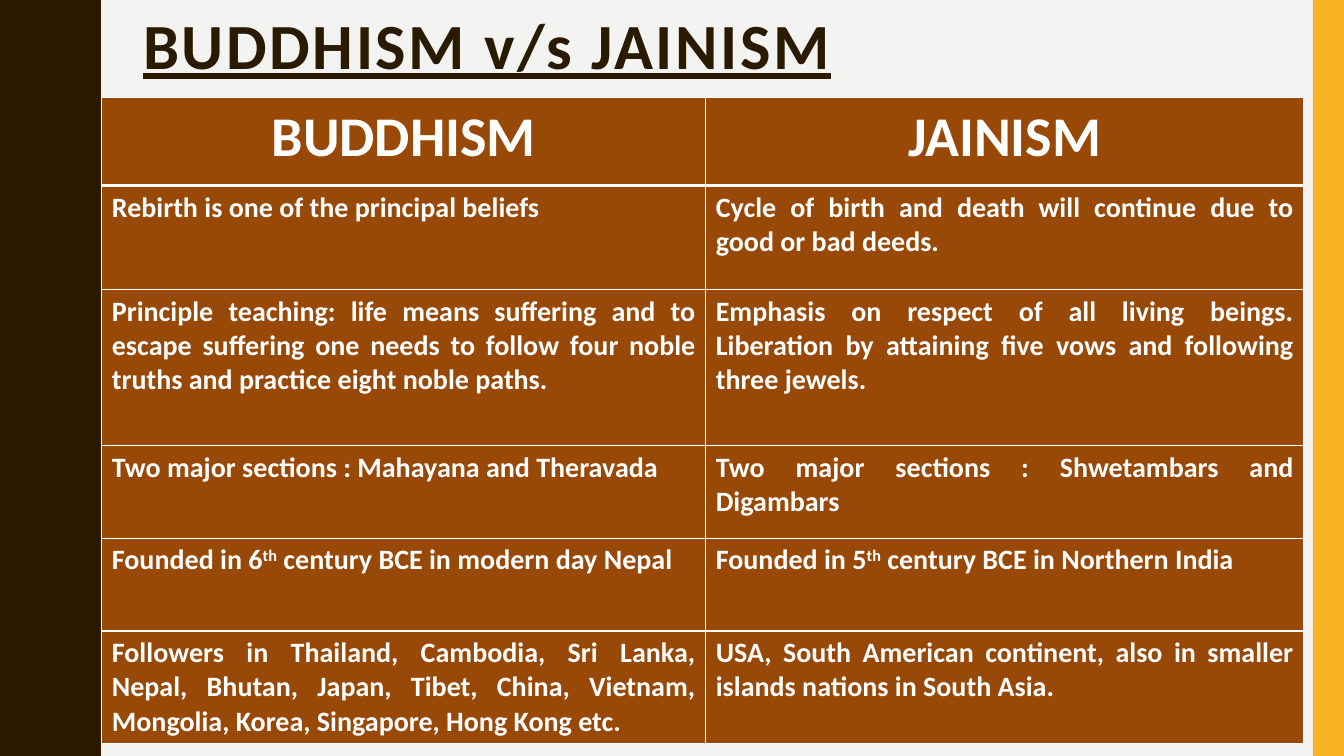
from lxml.etree import SubElement
from pptx import Presentation
from pptx.dml.color import RGBColor
from pptx.enum.shapes import MSO_SHAPE
from pptx.enum.text import MSO_ANCHOR, MSO_AUTO_SIZE, PP_ALIGN
from pptx.oxml.ns import qn
from pptx.util import Inches, Pt

COLORS = {"paper": "F3F3F1", "dark": "2A1A00", "gold": "F8B322",
          "rust": "984807", "white": "FFFFFF"}
WIDTH, HEIGHT = 13.33, 7.5
WAVE_PERIOD = 1.5
# Half a wave as (x, y), from its trough to its crest
HALF_WAVE = [(0.78, 0), (0.78, 0.07), (0.79, 0.14), (0.8, 0.2), (0.82, 0.25),
             (0.83, 0.29), (0.85, 0.33), (0.9, 0.42), (0.91, 0.46), (0.93, 0.5),
             (0.95, 0.55), (0.96, 0.61), (0.97, 0.68), (0.97, 0.75)]

COLUMN_WIDTHS = [5.99, 5.93]
ROW_HEIGHTS = [0.87, 1.03, 1.55, 0.92, 0.92, 1.09]
# Each cell is a list of runs; "th" is raised
COMPARISON = [
    (["BUDDHISM"], ["JAINISM"]),
    (["Rebirth is one of the principal beliefs"],
     ["Cycle of birth and death will continue due to good or bad deeds."]),
    (["Principle teaching: life means suffering and to escape suffering one "
      "needs to follow four noble truths and practice eight noble paths."],
     ["Emphasis on respect of all living beings. Liberation by attaining five "
      "vows and following three jewels."]),
    (["Two major sections : Mahayana and Theravada"],
     ["Two major sections : Shwetambars and Digambars"]),
    (["Founded in 6", "th", " century BCE in modern day Nepal"],
     ["Founded in 5", "th", " century BCE in Northern India"]),
    (["Followers in Thailand, Cambodia, Sri Lanka, Nepal, Bhutan, Japan, Tibet, "
      "China, Vietnam, Mongolia, Korea, Singapore, Hong Kong etc."],
     ["USA, South American continent, also in smaller islands nations in "
      "South Asia."]),
]


class SlideBuilder:
    font = "Calibri"

    def __init__(self, slide):
        self.slide = slide

    def color(self, name):
        return RGBColor.from_string(COLORS[name])

    def paint(self, fill, name):
        fill.solid()
        fill.fore_color.rgb = self.color(name)

    def finish(self, shape, name):
        self.paint(shape.fill, name)
        shape.line.fill.background()
        shape.shadow.inherit = False

    def add_run(self, paragraph, text, size, color):
        run = paragraph.add_run()
        run.text = text
        run.font.name = self.font
        run.font.size = Pt(size)
        run.font.bold = True
        run.font.color.rgb = self.color(color)
        return run

    def add_wavy_edge(self, color):
        crest_to_trough = [(x, WAVE_PERIOD - y) for x, y in HALF_WAVE[-2::-1]]
        wave = HALF_WAVE + crest_to_trough
        points = [(x, y + i * WAVE_PERIOD)
                  for i in range(round(HEIGHT / WAVE_PERIOD)) for x, y in wave]
        builder = self.slide.shapes.build_freeform(0, 0, scale=Inches(1))
        builder.add_line_segments(points + [(0, HEIGHT)], close=True)
        self.finish(builder.convert_to_shape(), color)

    def add_bar(self, left, width, color):
        bar = self.slide.shapes.add_shape(
            MSO_SHAPE.RECTANGLE, Inches(left), 0, Inches(width), Inches(HEIGHT))
        self.finish(bar, color)

    def set_title(self, text):
        title = self.slide.shapes.title
        title.left, title.top = Inches(1.33), Inches(0.03)
        title.width, title.height = Inches(7), Inches(0.79)
        frame = title.text_frame
        frame.auto_size = MSO_AUTO_SIZE.NONE
        frame.vertical_anchor = MSO_ANCHOR.TOP
        frame.margin_left = frame.margin_right = frame.margin_bottom = 0
        frame.margin_top = Inches(0.02)
        paragraph = frame.paragraphs[0]
        paragraph.alignment = PP_ALIGN.CENTER
        paragraph.space_before = Pt(1.1)
        run = self.add_run(paragraph, text, 46, "dark")
        run.font.underline = True
        run._r.get_or_add_rPr().set("spc", "190")

    def set_borders(self, cell, top, bottom):
        """Draw white cell borders; top and bottom are widths in points."""
        properties = cell._tc.get_or_add_tcPr()
        sides = [("a:lnL", 1), ("a:lnR", 1), ("a:lnT", top), ("a:lnB", bottom)]
        for position, (tag, width) in enumerate(sides):
            line = SubElement(properties, qn(tag), w=str(Pt(width)))
            fill = SubElement(line, qn("a:solidFill"))
            SubElement(fill, qn("a:srgbClr"), val=COLORS["white"])
            properties.insert(position, line)

    def fill_cell(self, cell, texts, size, alignment):
        self.paint(cell.fill, "rust")
        paragraph = cell.text_frame.paragraphs[0]
        paragraph.alignment = alignment
        for text in texts:
            run = self.add_run(paragraph, text, size, "white")
            if text == "th":
                run._r.get_or_add_rPr().set("baseline", "30000")

    def add_comparison(self, left, top):
        table = self.slide.shapes.add_table(
            len(ROW_HEIGHTS), len(COLUMN_WIDTHS), Inches(left), Inches(top),
            Inches(sum(COLUMN_WIDTHS)), Inches(sum(ROW_HEIGHTS))).table
        for column, width in zip(table.columns, COLUMN_WIDTHS):
            column.width = Inches(width)
        for r, (height, beliefs) in enumerate(zip(ROW_HEIGHTS, COMPARISON)):
            table.rows[r].height = Inches(height)
            size = 20 if r else 40
            alignment = PP_ALIGN.JUSTIFY if r else PP_ALIGN.CENTER
            for c, texts in enumerate(beliefs):
                cell = table.cell(r, c)
                self.fill_cell(cell, texts, size, alignment)
                self.set_borders(cell, 3 if r == 1 else 1, 3 if r == 0 else 1)


def main():
    deck = Presentation()
    deck.slide_width, deck.slide_height = Inches(WIDTH), Inches(HEIGHT)
    slide = deck.slides.add_slide(deck.slide_layouts[5])
    builder = SlideBuilder(slide)
    builder.paint(slide.background.fill, "paper")
    builder.add_wavy_edge("dark")
    builder.add_bar(13.02, 0.31, "gold")
    builder.set_title("BUDDHISM v/s JAINISM")
    builder.add_comparison(1.01, 0.97)
    deck.save("out.pptx")


if __name__ == "__main__":
    main()
